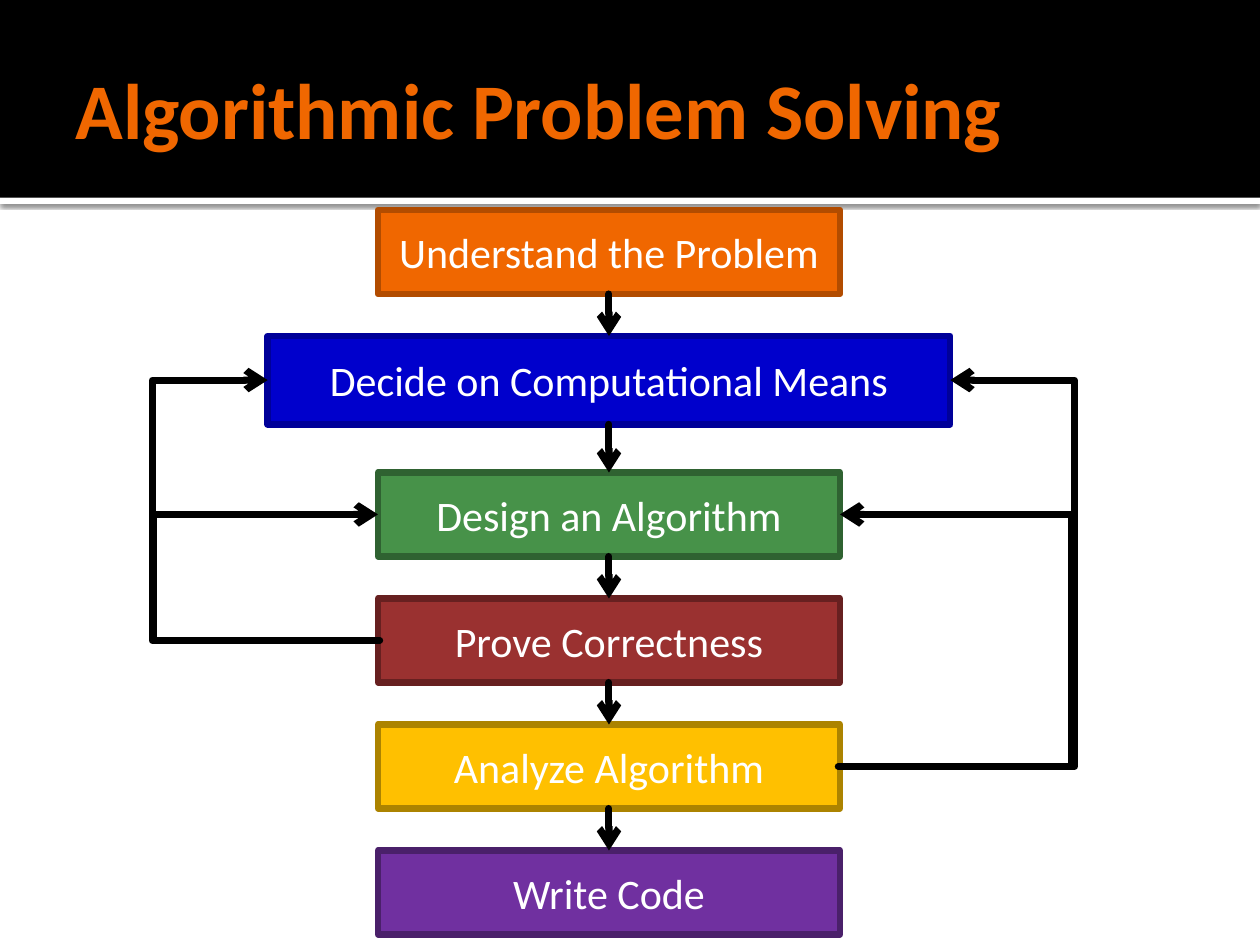
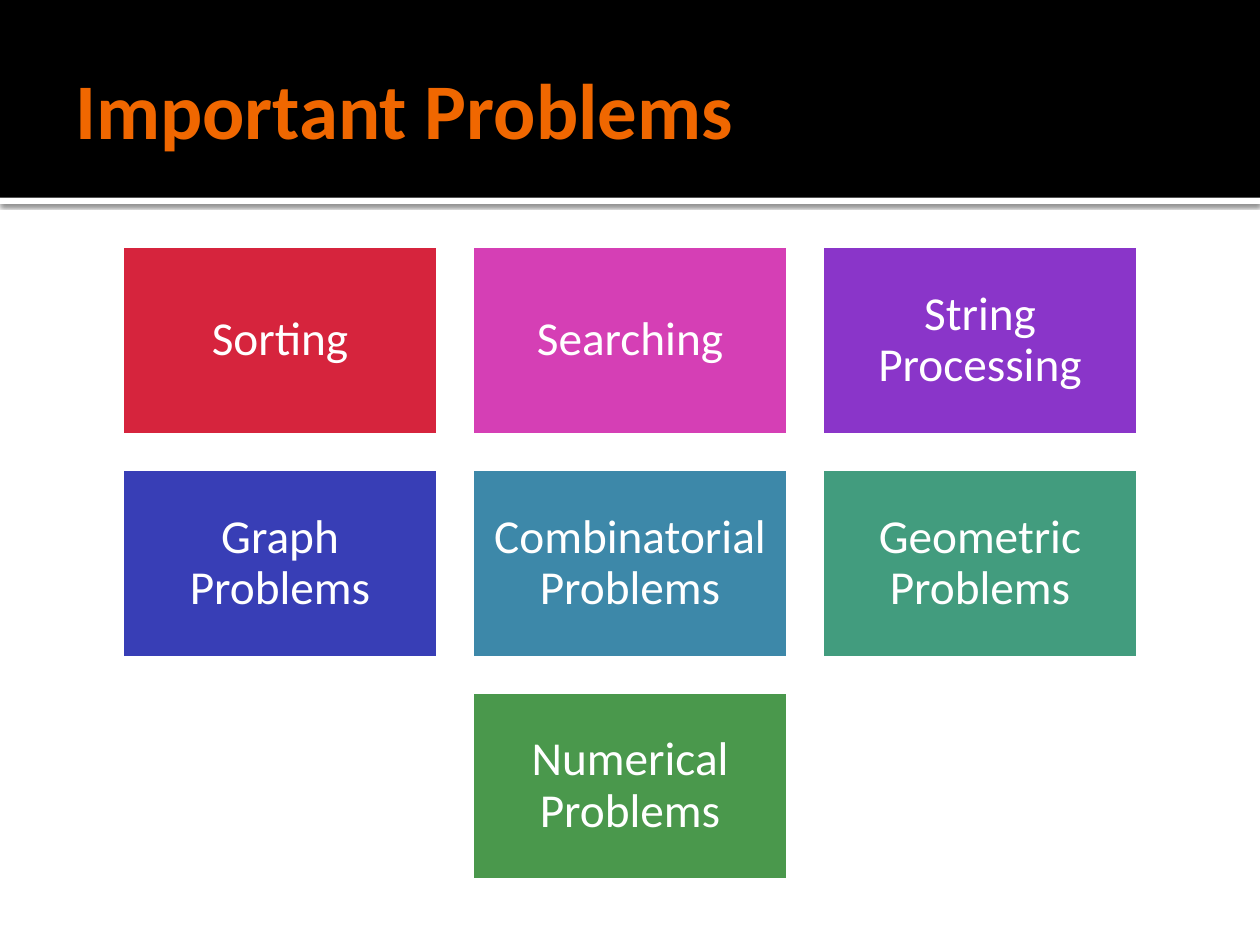
from dataclasses import dataclass

from pptx import Presentation
from pptx.dml.color import RGBColor
from pptx.enum.shapes import MSO_CONNECTOR, MSO_SHAPE
from pptx.enum.text import MSO_ANCHOR, PP_ALIGN
from pptx.oxml.ns import qn
from pptx.util import Pt
from lxml import etree

RECTANGLE = MSO_SHAPE.RECTANGLE
STRAIGHT, ELBOW = MSO_CONNECTOR.STRAIGHT, MSO_CONNECTOR.ELBOW
MIDDLE = MSO_ANCHOR.MIDDLE
LEFT, CENTER = PP_ALIGN.LEFT, PP_ALIGN.CENTER
TOP_SIDE, LEFT_SIDE, BOTTOM_SIDE, RIGHT_SIDE = range(4)


@dataclass(frozen=True)
class Theme:
    font: str = "Calibri"
    black: str = "000000"
    white: str = "FFFFFF"
    accent: str = "F06700"
    title_size: float = 45
    step_size: float = 24
    tile_size: float = 27
    border: float = 3.78
    arrow: float = 4


THEME = Theme()
PAGE_WIDTH, PAGE_HEIGHT = 720, 540

# Text, fill and border of each step, then its left, top, width and height
STEPS = [
    ("Understand the Problem", THEME.accent, "B24C00", (216, 120, 264, 48)),
    ("Decide on Computational Means", "0000CC", "000099", (153, 192, 390, 50.5)),
    ("Design an Algorithm", "479249", "2F6231", (216, 270, 264, 48)),
    ("Prove Correctness", "9A3130", "672020", (216, 342, 264, 48)),
    ("Analyze Algorithm", "FFC000", "AC8300", (216, 414, 264, 48)),
    ("Write Code", "7030A0", "4A206A", (216, 486, 264, 48)),
]
DECIDE, DESIGN, PROVE, ANALYZE = 1, 2, 3, 4

# Step left, step returned to, side used, x of the vertical run
RETURNS = [
    (PROVE, DESIGN, LEFT_SIDE, 87),
    (PROVE, DECIDE, LEFT_SIDE, 87),
    (ANALYZE, DESIGN, RIGHT_SIDE, 613.5),
    (ANALYZE, DECIDE, RIGHT_SIDE, 614),
]

PROBLEMS = [
    ("Sorting", "D6243D"),
    ("Searching", "D53FB5"),
    ("String Processing", "8A35C9"),
    ("Graph Problems", "383EB6"),
    ("Combinatorial Problems", "3D88A9"),
    ("Geometric Problems", "429C7E"),
    ("Numerical Problems", "4A984C"),
]


def apply_format(target, values):
    for name, value in values.items():
        setattr(target, name, value)


def write_text(box, text, size, color=THEME.white, bold=False, align=CENTER,
               inset=(7.2, 3.6, 7.2, 3.6), spacing=1.0):
    frame = box.text_frame
    margins = ("margin_left", "margin_top", "margin_right", "margin_bottom")
    apply_format(frame, dict(zip(margins, map(Pt, inset))))
    apply_format(frame, {"word_wrap": True, "vertical_anchor": MIDDLE})
    para = frame.paragraphs[0]
    apply_format(para, {"alignment": align, "line_spacing": spacing})
    span = para.add_run()
    apply_format(span, {"text": text})
    apply_format(span.font, {"name": THEME.font, "size": Pt(size), "bold": bold})
    span.font.color.rgb = RGBColor.from_string(color)


def add_box(page, area, fill, border=None):
    box = page.shapes.add_shape(RECTANGLE, *map(Pt, area))
    box.shadow.inherit = False
    box.fill.solid()
    box.fill.fore_color.rgb = RGBColor.from_string(fill)
    if border:
        box.line.color.rgb = RGBColor.from_string(border)
        box.line.width = Pt(THEME.border)
    else:
        box.line.fill.background()
    return box


def add_arrow(page, kind, start, start_side, end, end_side):
    arrow = page.shapes.add_connector(kind, 0, 0, 0, 0)
    arrow.begin_connect(start, start_side)
    arrow.end_connect(end, end_side)
    arrow.line.color.rgb = RGBColor.from_string(THEME.black)
    arrow.line.width = Pt(THEME.arrow)
    properties = arrow._element.spPr
    line = properties.find(qn("a:ln"))
    line.set("cap", "rnd")
    etree.SubElement(line, qn("a:round"))
    etree.SubElement(line, qn("a:tailEnd"), type="arrow")
    etree.SubElement(properties, qn("a:effectLst"))
    return arrow


def add_return(page, start, end, side, lane):
    arrow = add_arrow(page, ELBOW, start, side, end, side)
    # A bend is measured in widths, so the connector needs some width
    if arrow.begin_x == arrow.end_x:
        arrow.begin_x += Pt(1) if side == LEFT_SIDE else -Pt(1)
    bend = (Pt(lane) - arrow.begin_x) / (arrow.end_x - arrow.begin_x)
    guides = arrow._element.spPr.find(qn("a:prstGeom")).find(qn("a:avLst"))
    etree.SubElement(guides, qn("a:gd"), name="adj1",
                     fmla=f"val {round(bend * 100000)}")


def add_header(page, title, area):
    left, top, width, height = area
    # White strip with a soft shadow under the black band
    strip = add_box(page, (left, top + height, width, 3.6), THEME.white)
    effects = strip._element.spPr.find(qn("a:effectLst"))
    shadow = etree.SubElement(effects, qn("a:outerShdw"), blurRad=str(Pt(2.5)),
                              dist=str(Pt(0.8)), dir="5400000", algn="t",
                              rotWithShape="0")
    color = etree.SubElement(shadow, qn("a:srgbClr"), val=THEME.black)
    etree.SubElement(color, qn("a:alpha"), val="60000")
    add_box(page, area, THEME.black)
    # Title
    title_area = (left + 36, top + 12.25, width - 72, 98.5)
    box = page.shapes.add_textbox(*map(Pt, title_area))
    write_text(box, title, THEME.title_size, THEME.accent, True, LEFT,
               (7.2, 3.6, 3.6, 3.6))


def add_flow(page, area):
    left, top = area[:2]
    boxes = []
    for text, fill, border, (x, y, width, height) in STEPS:
        box = add_box(page, (left + x, top + y, width, height), fill, border)
        write_text(box, text, THEME.step_size)
        boxes.append(box)
    # Forward arrows
    for upper, lower in zip(boxes, boxes[1:]):
        add_arrow(page, STRAIGHT, upper, BOTTOM_SIDE, lower, TOP_SIDE)
    # Arrows back to earlier steps
    for start, end, side, lane in RETURNS:
        add_return(page, boxes[start], boxes[end], side, left + lane)


def add_tiles(page, area, columns=3, gap=18):
    left, top, width, height = area
    rows = [PROBLEMS[i:i + columns] for i in range(0, len(PROBLEMS), columns)]
    tile_width = (width - gap * (columns - 1)) / columns
    tile_height = (height - gap * (len(rows) - 1)) / len(rows)
    for row, problems in enumerate(rows):
        # A short row is centred
        indent = (columns - len(problems)) * (tile_width + gap) / 2
        for column, (text, fill) in enumerate(problems):
            x = left + indent + column * (tile_width + gap)
            y = top + row * (tile_height + gap)
            tile = add_box(page, (x, y, tile_width, tile_height), fill, THEME.white)
            write_text(tile, text, THEME.tile_size, inset=(8, 8, 8, 8), spacing=0.9)


def main():
    deck = Presentation()
    deck.slide_width, deck.slide_height = Pt(PAGE_WIDTH), Pt(PAGE_HEIGHT)
    slides = [
        ("Algorithmic Problem Solving", add_flow, (0, 0, PAGE_WIDTH, PAGE_HEIGHT)),
        ("Important Problems", add_tiles, (69, 139.9, 582, 364)),
    ]
    for title, add_body, area in slides:
        page = deck.slides.add_slide(deck.slide_layouts[6])
        add_header(page, title, (0, 0, PAGE_WIDTH, 113))
        add_body(page, area)
    deck.save("out.pptx")


if __name__ == "__main__":
    main()
